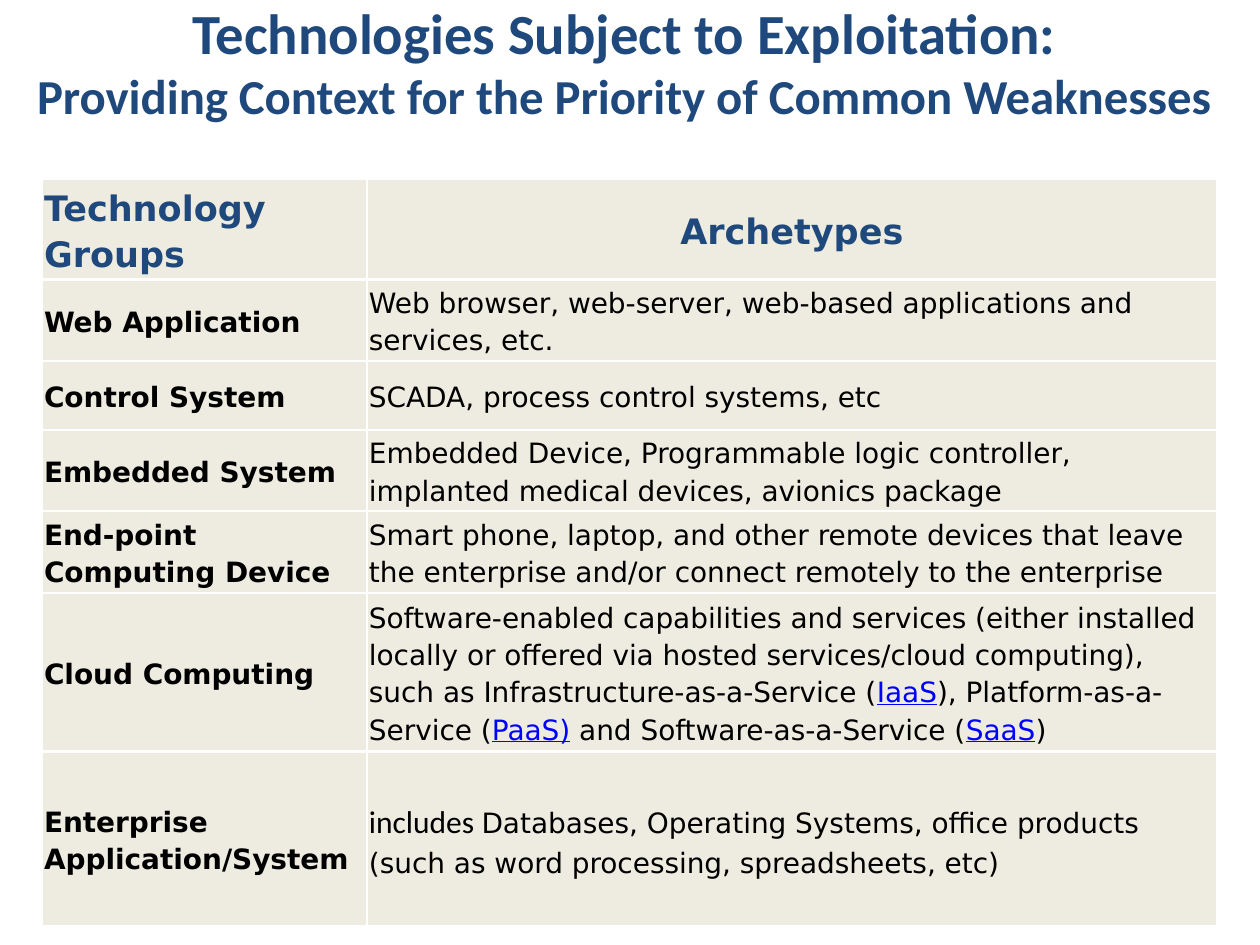
import enum

import pptx
import pptx.dml.color
import pptx.enum.text
import pptx.oxml
import pptx.oxml.ns
import pptx.util


class Kind(enum.Enum):
    HEADING = "heading"
    GROUP = "group"
    BODY = "body"
    LINK = "link"
    LEAD = "lead"
    TITLE = "title"
    SUBTITLE = "subtitle"


THEME = {
    "border": "FFFFFF",
    "border_pt": 1.5,
    "cell": "EEECE1",
    "spacing": 1.15,
    "heading_gap": 3.8,
    Kind.TITLE: ("Calibri", 32.4, "1F497D", True),
    Kind.SUBTITLE: ("Calibri", 27.9, "1F497D", True),
    Kind.HEADING: ("DejaVu Sans", 20, "1F497D", True),
    Kind.GROUP: ("DejaVu Sans", 16, "000000", True),
    Kind.BODY: ("DejaVu Sans", 16, "000000", False),
    Kind.LINK: ("DejaVu Sans", 16, "0000FF", False),
    Kind.LEAD: ("Calibri", 18, "000000", False),
}

TITLE = ("Technologies Subject to Exploitation:",
         "Providing Context for the Priority of Common Weaknesses")
HEADINGS = ("Technology Groups", "Archetypes")
GROUPS = [
    ("Web Application", 69,
     [("Web browser, web-server, web-based applications and services, etc.", Kind.BODY)]),
    ("Control System", 69,
     [("SCADA, process control systems, etc", Kind.BODY)]),
    ("Embedded System", 69,
     [("Embedded Device, Programmable logic controller, implanted medical devices, "
       "avionics package", Kind.BODY)]),
    ("End-point Computing Device", 82,
     [("Smart phone, laptop, and other remote devices that leave the enterprise "
       "and/or connect remotely to the enterprise", Kind.BODY)]),
    ("Cloud Computing", 135,
     [("Software-enabled capabilities and services (either installed locally or offered "
       "via hosted services/cloud computing), such as Infrastructure-as-a-Service (", Kind.BODY),
      ("IaaS", Kind.LINK),
      ("), Platform-as-a-Service (", Kind.BODY),
      ("PaaS)", Kind.LINK),
      (" and Software-as-a-Service (", Kind.BODY),
      ("SaaS", Kind.LINK),
      (")", Kind.BODY)]),
    ("Enterprise Application/System", 175,
     [("includes ", Kind.LEAD),
      ("Databases, Operating Systems, office products (such as word processing, "
       "spreadsheets, etc)", Kind.BODY)]),
]
HEADING_HEIGHT = 84
COLUMNS = (325, 850)
CELL_MARGIN = 2

CENTER = pptx.enum.text.PP_ALIGN.CENTER
MIDDLE = pptx.enum.text.MSO_ANCHOR.MIDDLE


def px(n):
    return pptx.util.Emu(round(n * 914400 / 126))


def rgb(value):
    return pptx.dml.color.RGBColor.from_string(value)


def add_run(p, text, kind):
    r = p.add_run()
    r.text = text
    r.font.name, size, color, r.font.bold = THEME[kind]
    r.font.size = pptx.util.Pt(size)
    r.font.color.rgb = rgb(color)
    if kind is Kind.LINK:
        r.font.underline = True


def add_borders(cell):
    tc_pr = cell._tc.get_or_add_tcPr()
    width = pptx.util.Pt(THEME["border_pt"])
    for side in ("lnL", "lnR", "lnT", "lnB"):
        tc_pr.append(pptx.oxml.parse_xml(
            f'<a:{side} {pptx.oxml.ns.nsdecls("a")} w="{width}"><a:solidFill>'
            f'<a:srgbClr val="{THEME["border"]}"/></a:solidFill></a:{side}>'))


def fill_cell(cell, runs):
    add_borders(cell)
    cell.fill.solid()
    cell.fill.fore_color.rgb = rgb(THEME["cell"])
    cell.vertical_anchor = MIDDLE
    cell.margin_left = cell.margin_right = px(CELL_MARGIN)
    cell.margin_top = cell.margin_bottom = px(CELL_MARGIN)
    p = cell.text_frame.paragraphs[0]
    p.line_spacing = THEME["spacing"]
    for text, kind in runs:
        add_run(p, text, kind)
    return p


def add_title(slide):
    tf = slide.shapes.add_textbox(px(21), px(21), px(1207), px(130)).text_frame
    tf.word_wrap = True
    tf.vertical_anchor = MIDDLE
    tf.margin_left = tf.margin_right = tf.margin_top = 0
    tf.margin_bottom = px(50)
    p = tf.paragraphs[0]
    p.alignment = CENTER
    add_run(p, TITLE[0], Kind.TITLE)
    p.add_line_break()
    add_run(p, TITLE[1], Kind.SUBTITLE)


def add_groups(slide):
    heights = [HEADING_HEIGHT] + [height for _, height, _ in GROUPS]
    table = slide.shapes.add_table(len(heights), len(COLUMNS), px(42), px(179),
                                   px(sum(COLUMNS)), px(sum(heights))).table
    for column, width in zip(table.columns, COLUMNS):
        column.width = px(width)
    for row, height in zip(table.rows, heights):
        row.height = px(height)

    first, second = [fill_cell(table.cell(0, i), [(text, Kind.HEADING)])
                     for i, text in enumerate(HEADINGS)]
    first.space_before = first.space_after = pptx.util.Pt(THEME["heading_gap"])
    second.alignment = CENTER
    for i, (group, _, archetypes) in enumerate(GROUPS, 1):
        fill_cell(table.cell(i, 0), [(group, Kind.GROUP)])
        fill_cell(table.cell(i, 1), archetypes)


def main():
    prs = pptx.Presentation()
    prs.slide_width, prs.slide_height = px(1260), px(945)
    slide = prs.slides.add_slide(prs.slide_layouts[6])
    add_title(slide)
    add_groups(slide)
    prs.save("out.pptx")


if __name__ == "__main__":
    main()
